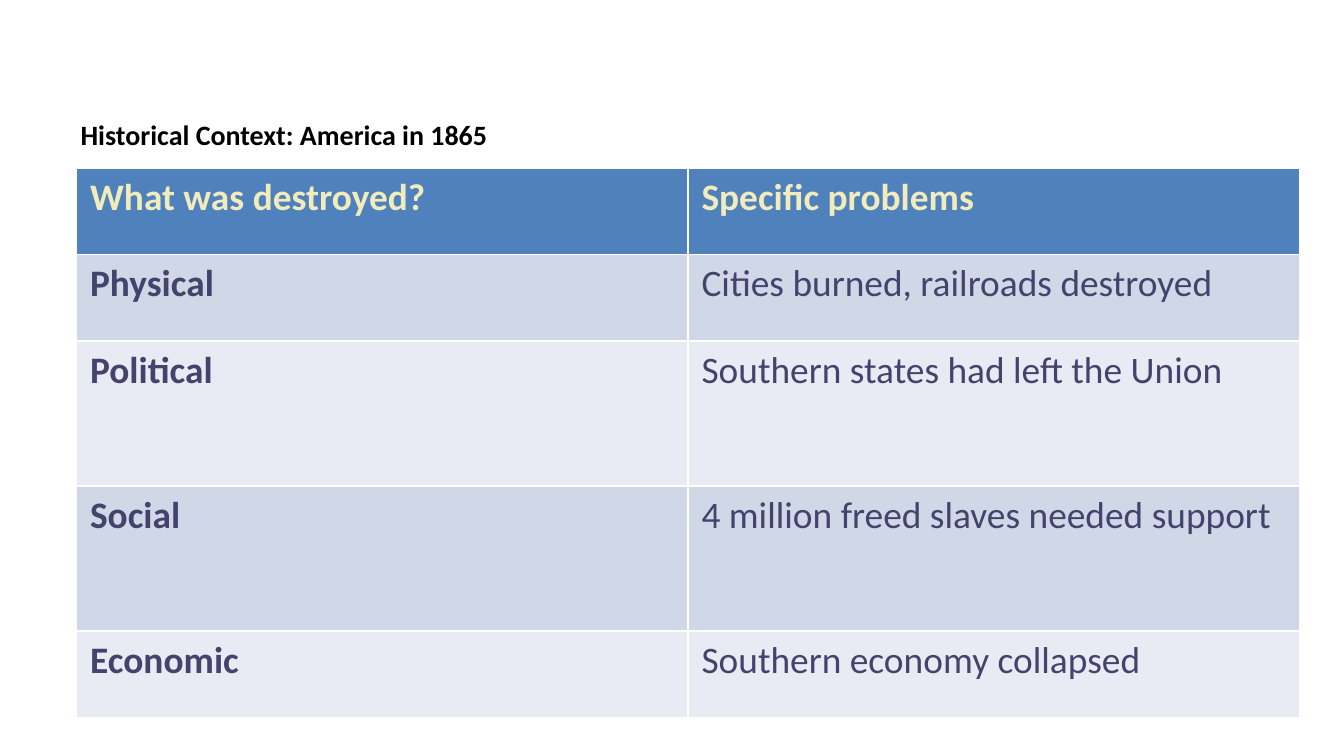
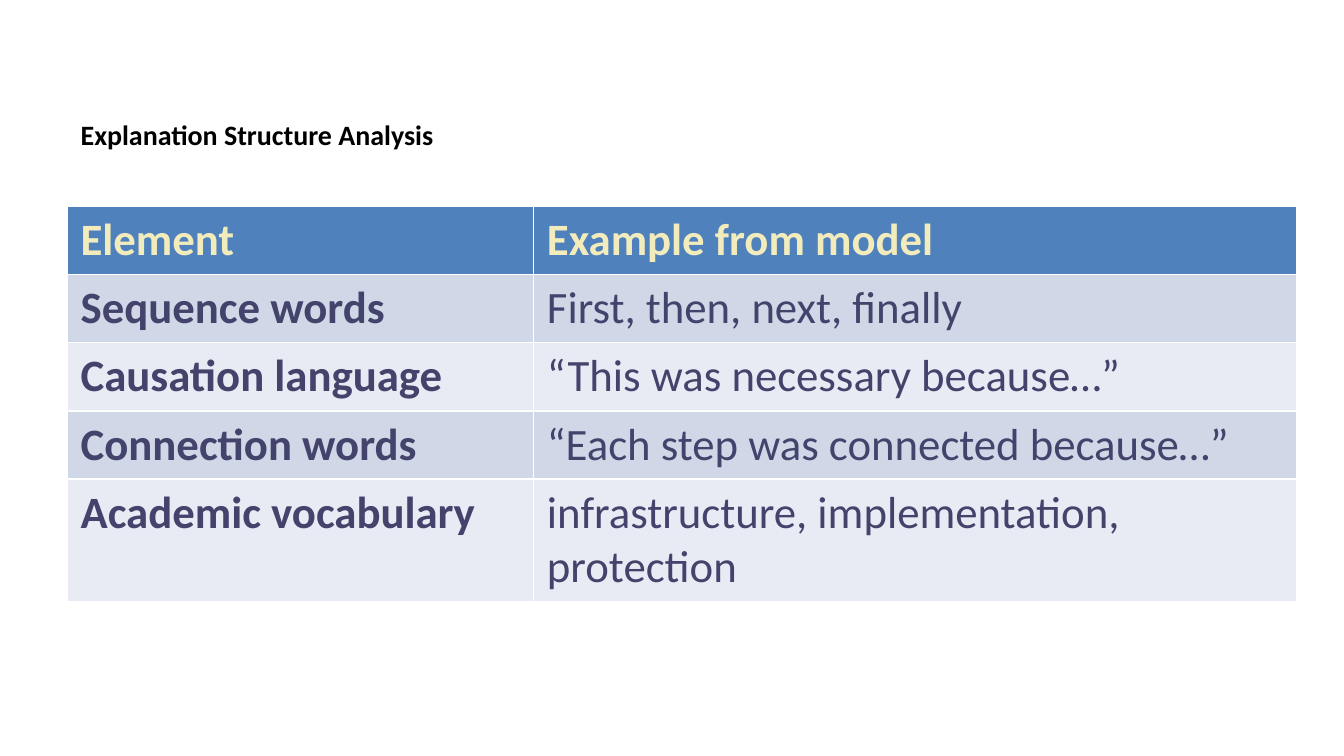
from lxml import etree
from pptx import Presentation
from pptx.dml.color import RGBColor
from pptx.enum.text import MSO_ANCHOR, MSO_AUTO_SIZE, PP_ALIGN
from pptx.oxml.ns import qn
from pptx.util import Inches, Pt

BOTTOM, LEFT, NO_FIT = MSO_ANCHOR.BOTTOM, PP_ALIGN.LEFT, MSO_AUTO_SIZE.NONE
W = Inches(10)
H = W * 9 // 16
TITLE_ONLY = 5
FONT = "Calibri"
BACKGROUND, BORDER, TITLE = "FFFFFF", "FFFFFF", "000000"
HEADER, HEADER_TEXT, BODY_TEXT = "4F81BD", "F2ECBC", "43436C"
BANDS = ["E9EBF4", "D0D8E8"]

CONTEXT = [
    ("What was destroyed?", "Specific problems"),
    ("Physical", "Cities burned, railroads destroyed"),
    ("Political", "Southern states had left the Union"),
    ("Social", "4 million freed slaves needed support"),
    ("Economic", "Southern economy collapsed"),
]
STRUCTURE = [
    ("Element", "Example from model"),
    ("Sequence words", "First, then, next, finally"),
    ("Causation language", "“This was necessary because…”"),
    ("Connection words", "“Each step was connected because…”"),
    ("Academic vocabulary", "infrastructure, implementation, protection"),
]


def rgb(value):
    return RGBColor.from_string(value)


def place(*percents):
    return [round(share * side / 100) for share, side in zip(percents, (W, H, W, H))]


def write(tf, text, size, color, bold=False):
    p = tf.paragraphs[0]
    p.alignment = LEFT
    r = p.add_run()
    r.text = text
    r.font.name, r.font.size, r.font.bold = FONT, Pt(size), bold
    r.font.color.rgb = rgb(color)


def add_slide(prs, title, title_width):
    s = prs.slides.add_slide(prs.slide_layouts[TITLE_ONLY])
    s.background.fill.solid()
    s.background.fill.fore_color.rgb = rgb(BACKGROUND)
    sp = s.shapes.title
    sp.left, sp.top, sp.width, sp.height = place(5, 4, title_width, 16.9)
    tf = sp.text_frame
    tf.word_wrap, tf.auto_size, tf.vertical_anchor = True, NO_FIT, BOTTOM
    write(tf, title, 15, TITLE, bold=True)
    return s


def set_borders(cell, color, width=1):
    tc_pr = cell._tc.get_or_add_tcPr()
    for side in ("a:lnL", "a:lnR", "a:lnT", "a:lnB"):
        ln = etree.SubElement(tc_pr, qn(side), w=str(Pt(width)))
        fill = etree.SubElement(ln, qn("a:solidFill"))
        etree.SubElement(fill, qn("a:srgbClr"), val=color)


def set_sizes(lines, weights, total, attribute):
    for line, weight in zip(lines, weights):
        setattr(line, attribute, round(total * weight / sum(weights)))


def add_table(s, rows, box, col_weights, row_weights, size):
    x, y, w, h = place(*box)
    table = s.shapes.add_table(len(rows), len(col_weights), x, y, w, h).table
    table.horz_banding = False
    set_sizes(table.columns, col_weights, w, "width")
    set_sizes(table.rows, row_weights, h, "height")
    for i, row in enumerate(rows):
        for j, text in enumerate(row):
            cell = table.cell(i, j)
            set_borders(cell, BORDER)
            cell.fill.solid()
            cell.fill.fore_color.rgb = rgb(BANDS[i % 2] if i else HEADER)
            write(cell.text_frame, text, size, BODY_TEXT if i else HEADER_TEXT,
                  bold=i == 0 or j == 0)


def main():
    prs = Presentation()
    prs.slide_width, prs.slide_height = W, H
    s = add_slide(prs, "Historical Context: America in 1865", 89.8)
    add_table(s, CONTEXT, (5.7, 22.3, 91, 72.6),
              (1, 1), (0.64, 0.64, 1.08, 1.08, 0.64), 20)
    s = add_slide(prs, "Explanation Structure Analysis", 90.5)
    add_table(s, STRUCTURE, (5, 27.3, 91.5, 52),
              (3.47, 5.68), (0.5, 0.5, 0.5, 0.5, 0.9), 24)
    prs.save("out.pptx")


if __name__ == "__main__":
    main()
